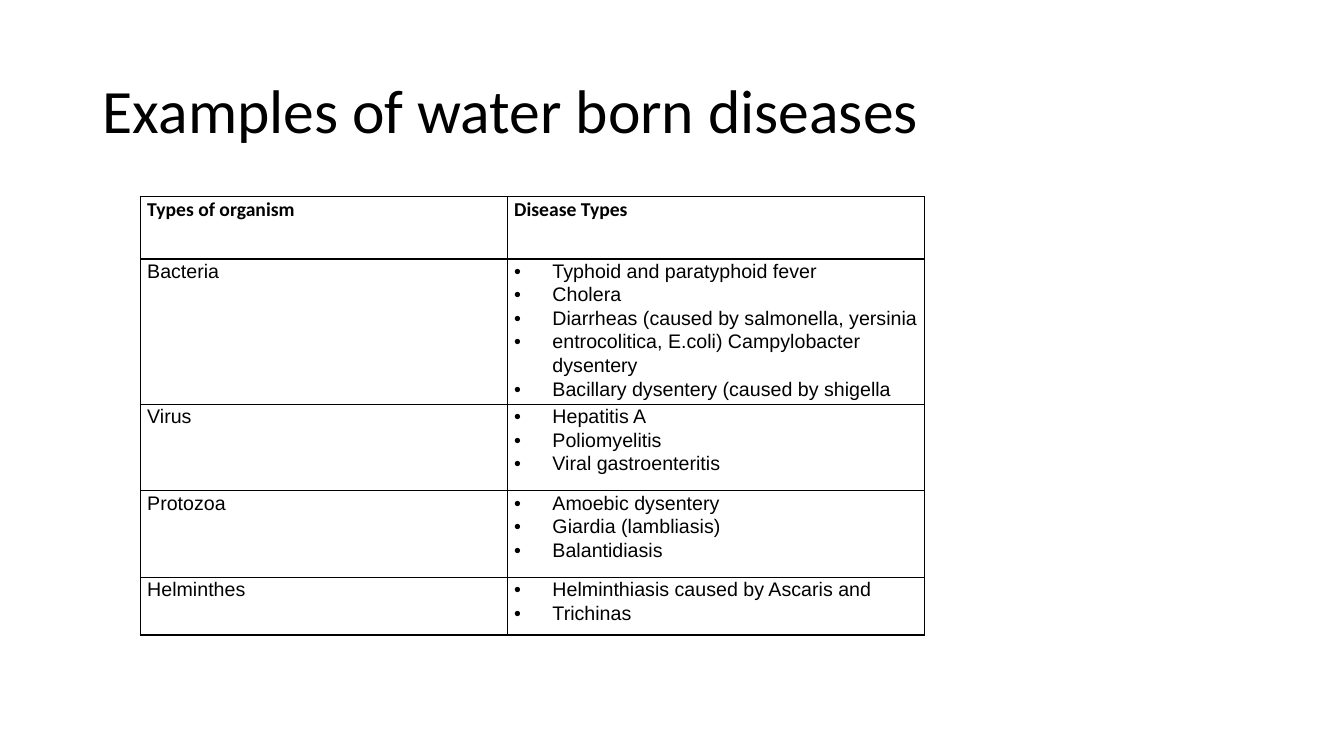
from pptx import Presentation
from pptx.dml.color import RGBColor
from pptx.enum.text import MSO_ANCHOR, PP_ALIGN
from pptx.oxml import parse_xml
from pptx.oxml.ns import nsdecls
from pptx.util import Inches, Pt

BLACK = "000000"
HEADS = ["Types of organism", "Disease Types"]
GROUPS = [
    ("Bacteria", ["Typhoid and paratyphoid fever",
                  "Cholera",
                  "Diarrheas (caused by salmonella, yersinia",
                  "entrocolitica, E.coli) Campylobacter dysentery",
                  "Bacillary dysentery (caused by shigella"]),
    ("Virus", ["Hepatitis A", "Poliomyelitis", "Viral gastroenteritis"]),
    ("Protozoa", ["Amoebic dysentery", "Giardia (lambliasis)", "Balantidiasis"]),
    ("Helminthes", ["Helminthiasis caused by Ascaris and", "Trichinas"]),
]
COLS = [3.64, 4.14]
ROWS = [0.62, 1.44, 0.86, 0.86, 0.57]


def style(para, size, face, bold=False, color=BLACK):
    for run in para.runs:
        font = run.font
        font.size, font.name, font.bold = Pt(size), face, bold
        font.color.rgb = RGBColor.from_string(color)


def add_bullet(para):
    props = para._p.get_or_add_pPr()
    props.set("marL", str(Inches(0.38)))
    props.set("indent", str(-Inches(0.38)))
    props.append(parse_xml(f'<a:buFont {nsdecls("a")} typeface="Arial"/>'))
    props.append(parse_xml(f'<a:buChar {nsdecls("a")} char="•"/>'))


def add_border(cell, color=BLACK):
    props = cell._tc.get_or_add_tcPr()
    for i, side in enumerate(["lnL", "lnR", "lnT", "lnB"]):
        props.insert(i, parse_xml(
            f'<a:{side} {nsdecls("a")} w="{Pt(1)}"><a:solidFill>'
            f'<a:srgbClr val="{color}"/></a:solidFill></a:{side}>'))


def fill_cell(cell, lines, face="Arial", bold=False, bullets=False):
    cell.margin_left = cell.margin_right = Inches(0.07)
    cell.margin_top = cell.margin_bottom = 0
    cell.fill.background()
    add_border(cell)
    cell.text_frame.text = "\n".join(lines)
    for para in cell.text_frame.paragraphs:
        para.line_spacing = 1.07
        style(para, 14, face, bold)
        if bullets:
            add_bullet(para)
    para.space_after = Pt(8)


def place_title(slide, left, top, width, height):
    title = slide.shapes.title
    title.left, title.top = Inches(left), Inches(top)
    title.width, title.height = Inches(width), Inches(height)
    frame = title.text_frame
    frame.text = "Examples of water born diseases"
    frame.vertical_anchor = MSO_ANCHOR.MIDDLE
    para = frame.paragraphs[0]
    para.alignment = PP_ALIGN.LEFT
    para.line_spacing = 0.9
    style(para, 44, "Calibri")


def place_table(slide, left, top):
    table = slide.shapes.add_table(
        len(ROWS), len(COLS), Inches(left), Inches(top),
        Inches(sum(COLS)), Inches(sum(ROWS))).table
    table.first_row = table.horz_banding = False
    for col, width in zip(table.columns, COLS):
        col.width = Inches(width)
    for row, height in zip(table.rows, ROWS):
        row.height = Inches(height)

    # Header row
    for i, head in enumerate(HEADS):
        fill_cell(table.cell(0, i), [head], "Calibri", bold=True)

    # One row per organism
    for i, (name, cases) in enumerate(GROUPS, 1):
        fill_cell(table.cell(i, 0), [name])
        fill_cell(table.cell(i, 1), cases, bullets=True)


def main():
    deck = Presentation()
    deck.slide_width, deck.slide_height = Inches(13.33), Inches(7.5)
    slide = deck.slides.add_slide(deck.slide_layouts[5])
    place_title(slide, 0.92, 0.4, 11.5, 1.45)
    place_table(slide, 1.39, 1.95)
    deck.save("out.pptx")


if __name__ == "__main__":
    main()
